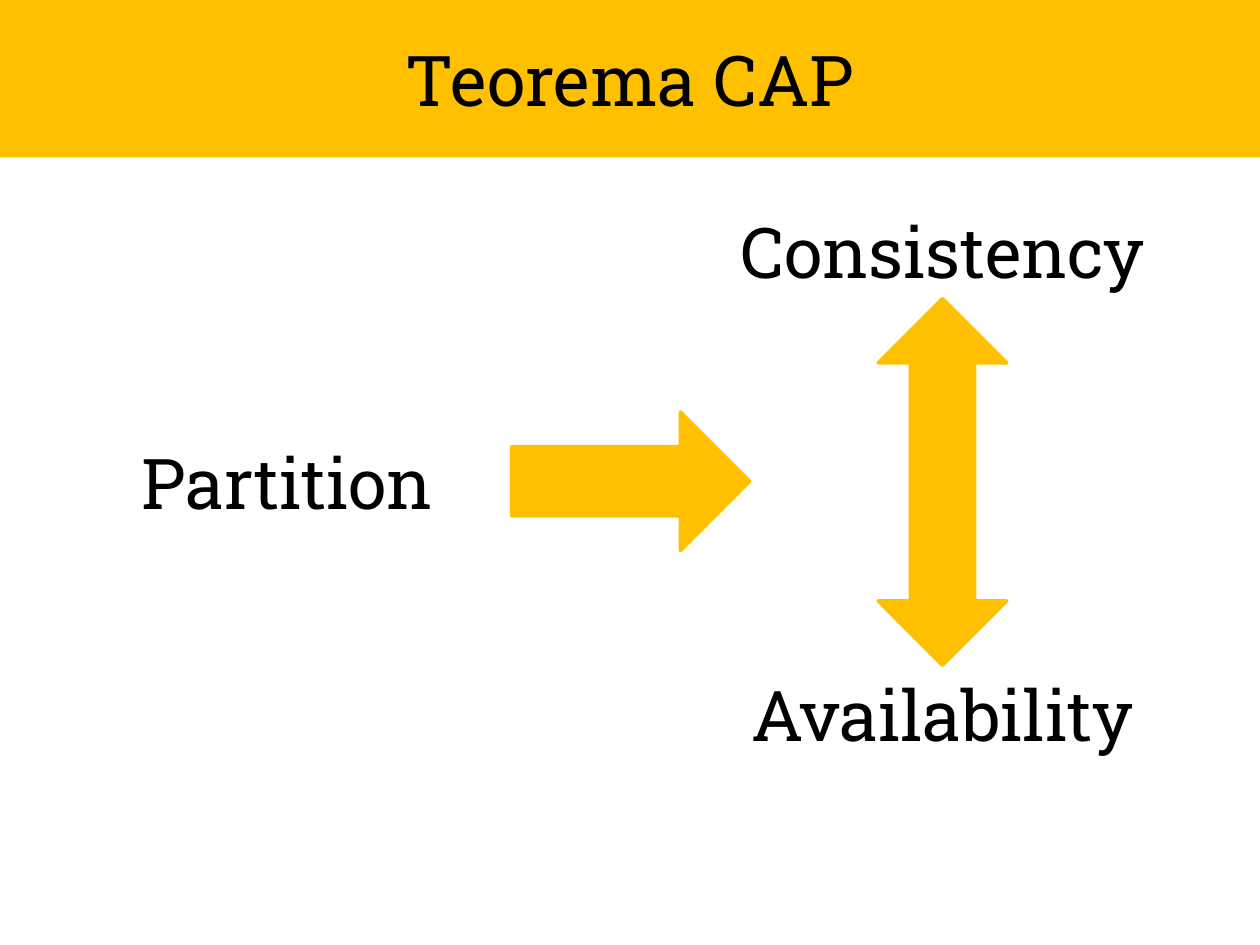
from pptx import Presentation
from pptx.dml.color import RGBColor
from pptx.enum.shapes import MSO_SHAPE as Preset
from pptx.enum.text import MSO_ANCHOR as Anchor, MSO_AUTO_SIZE as AutoSize, PP_ALIGN as Align
from pptx.util import Inches, Pt

COLORS = {"amber": "FFC000", "text": "000000"}
FONT = "Roboto Slab"


def color(name):
    return RGBColor.from_string(COLORS[name])


def write_text(shape, text, size=40, fill="text", align=Align.CENTER, anchor=Anchor.TOP):
    frame = shape.text_frame
    frame.word_wrap = True
    frame.vertical_anchor = anchor
    paragraph = frame.paragraphs[0]
    paragraph.alignment = align
    run = paragraph.add_run()
    run.text = text
    run.font.name = FONT
    run.font.size = Pt(size)
    run.font.color.rgb = color(fill)


def add_block(slide, preset, left, top, width, height, line_width=None):
    shape = slide.shapes.add_shape(
        preset, Inches(left), Inches(top), Inches(width), Inches(height))
    shape.shadow.inherit = False
    shape.fill.solid()
    shape.fill.fore_color.rgb = color("amber")
    if line_width:
        shape.line.color.rgb = color("amber")
        shape.line.width = Pt(line_width)
    else:
        shape.line.fill.background()
    return shape


def add_label(slide, text, left, top, width=3.7, height=0.77):
    box = slide.shapes.add_textbox(
        Inches(left), Inches(top), Inches(width), Inches(height))
    write_text(box, text)
    box.text_frame.auto_size = AutoSize.SHAPE_TO_FIT_TEXT


def main():
    presentation = Presentation()
    presentation.slide_width = Inches(10)
    presentation.slide_height = Inches(7.5)
    slide = presentation.slides.add_slide(presentation.slide_layouts[6])

    # Title band
    band = add_block(slide, Preset.RECTANGLE, 0, 0, 10, 1.25)
    write_text(band, "Teorema CAP", anchor=Anchor.MIDDLE)

    # Partition leads to the choice
    add_label(slide, "Partition", 0.43, 3.44)
    add_block(slide, Preset.RIGHT_ARROW, 4.06, 3.27, 1.89, 1.1, line_width=2)

    # Trade-off between availability and consistency
    add_block(slide, Preset.UP_DOWN_ARROW, 6.97, 2.37, 1.02, 2.91, line_width=2)
    add_label(slide, "Availability", 5.63, 5.28)
    add_label(slide, "Consistency", 5.47, 1.61, width=4.02)

    presentation.save("out.pptx")


if __name__ == "__main__":
    main()
